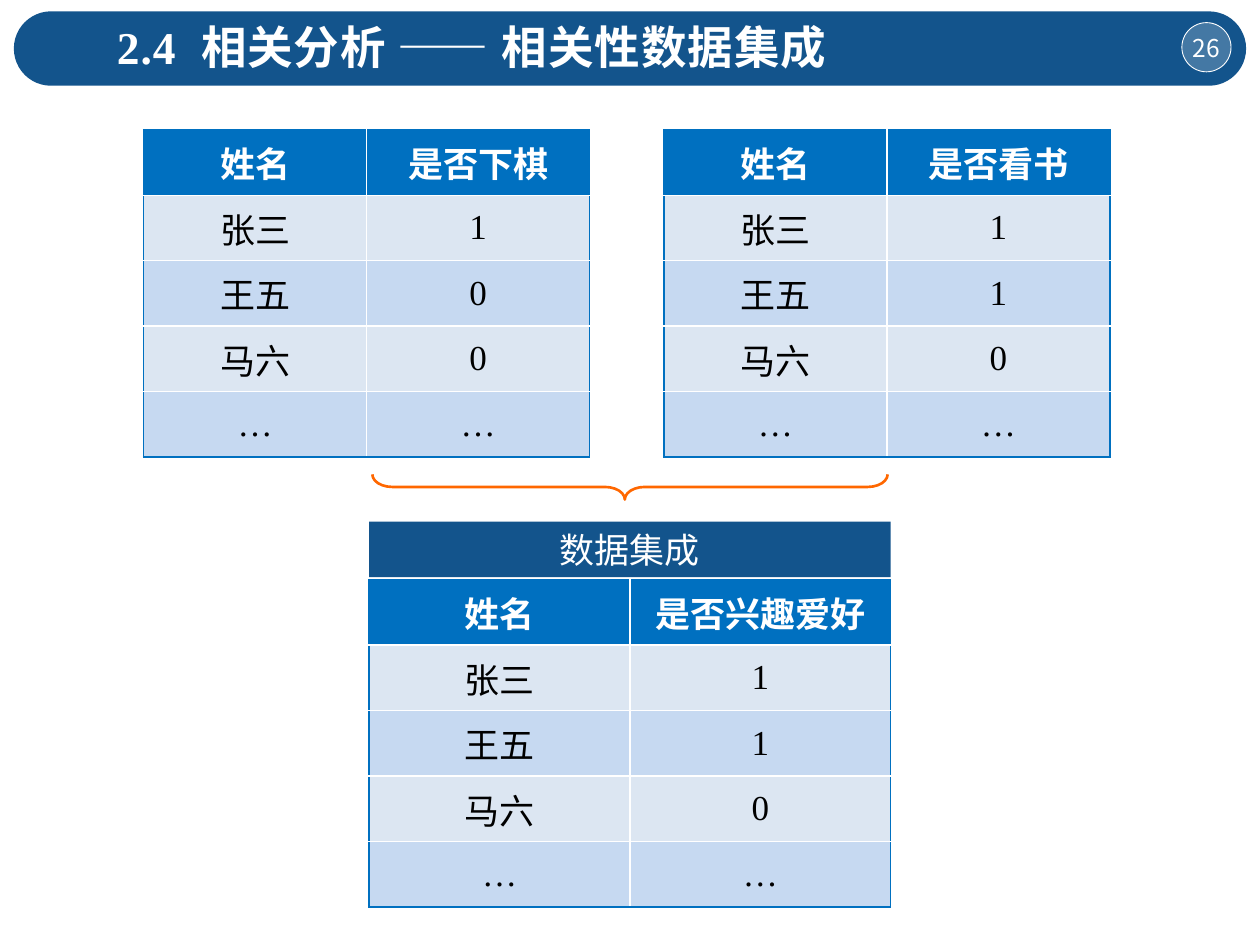
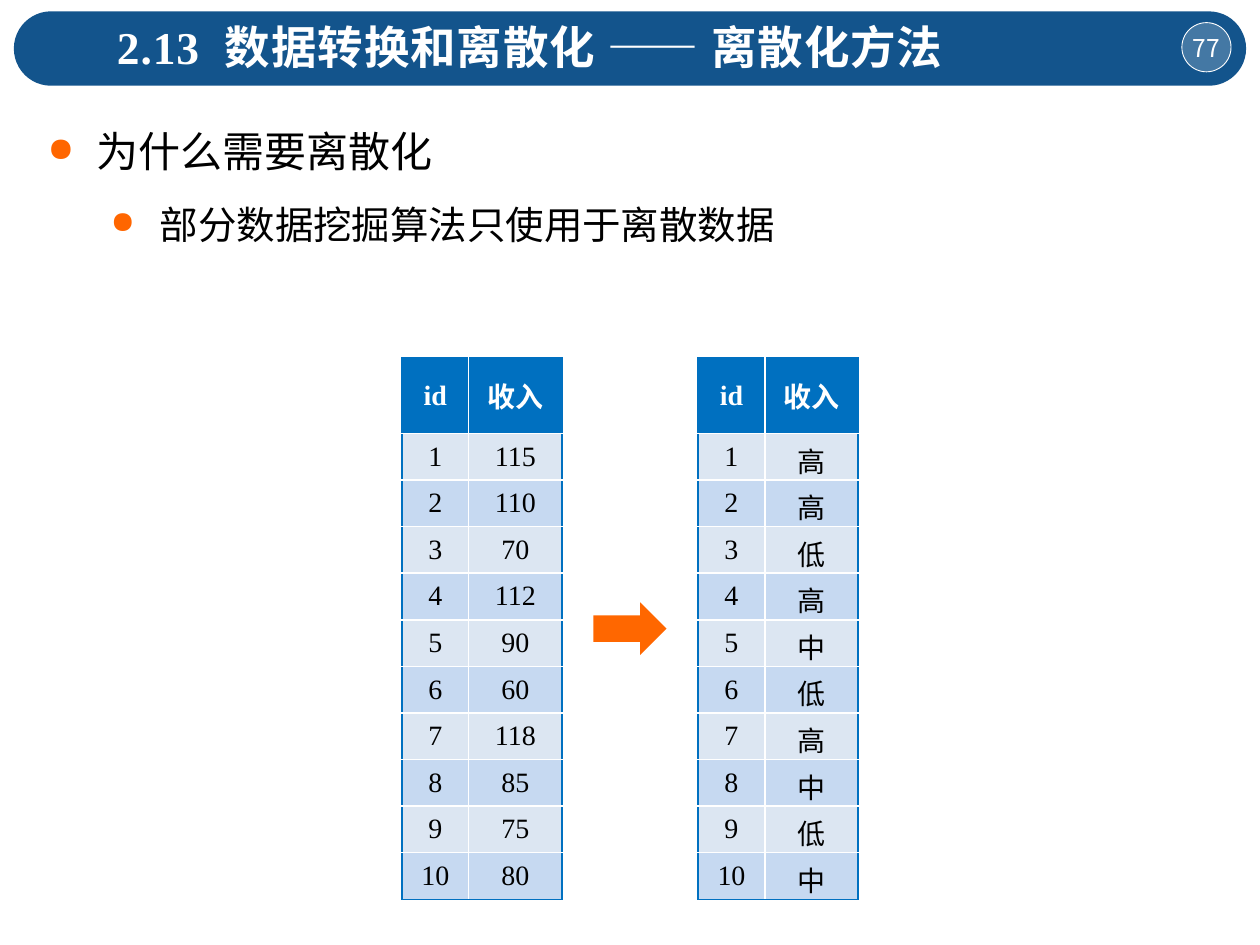
from lxml.etree import SubElement
from pptx import Presentation
from pptx.dml.color import RGBColor
from pptx.enum.shapes import MSO_SHAPE
from pptx.enum.text import MSO_ANCHOR, PP_ALIGN
from pptx.oxml import parse_xml
from pptx.oxml.ns import nsdecls, qn
from pptx.util import Inches, Pt

COLORS = {
    "band": "13548C",
    "header": "0070C0",
    "odd_row": "DCE6F2",
    "even_row": "C6D9F1",
    "accent": "FF6700",
    "bullet": "FF6600",
    "white": "FFFFFF",
    "black": "000000",
}
LATIN, CHINESE = "Times New Roman", "Noto Sans CJK SC"


def rgb(color):
    return RGBColor.from_string(COLORS[color])


class Deck:
    def __init__(self):
        self.prs = Presentation()
        self.prs.slide_width, self.prs.slide_height = Inches(10), Inches(7.5)
        self.slide = None

    def new_slide(self, number, section, heading):
        self.slide = self.prs.slides.add_slide(self.prs.slide_layouts[6])
        band = self.shape(MSO_SHAPE.ROUNDED_RECTANGLE, 0.11, 0.09, 9.78, 0.59, "band")
        band.adjustments[0] = 0.5

        badge = self.shape(MSO_SHAPE.OVAL, 9.38, 0.18, 0.39, 0.39, "white", line=("white", 0.5))
        fill_color = badge.fill._xPr.find(qn("a:solidFill"))[0]
        SubElement(fill_color, qn("a:alpha"), val="21000")
        self.label(badge, number, 14, font=CHINESE)

        title = self.text_box(0.83, 0.1, 8.08, 0.54)
        title.vertical_anchor = MSO_ANCHOR.MIDDLE
        title.margin_top = title.margin_bottom = 0
        paragraph = title.paragraphs[0]
        # The wider space sets the section number apart from the heading.
        for text, spacing in ((section, 50), (" ", 750), (heading, 50)):
            run = self.run(paragraph, text, 26, "white", bold=True)
            run.font._element.set("spc", str(spacing))

    def run(self, paragraph, text, size, color, bold=False, font=LATIN):
        run = paragraph.add_run()
        run.text = text
        run.font.size, run.font.bold, run.font.name = Pt(size), bold, font
        run.font.color.rgb = rgb(color)
        run.font._element.find(qn("a:latin")).addnext(
            parse_xml(f'<a:ea {nsdecls("a")} typeface="{CHINESE}"/>'))
        return run

    def shape(self, kind, left, top, width, height, fill=None, line=None):
        shape = self.slide.shapes.add_shape(
            kind, Inches(left), Inches(top), Inches(width), Inches(height))
        shape.shadow.inherit = False
        if fill:
            shape.fill.solid()
            shape.fill.fore_color.rgb = rgb(fill)
        else:
            shape.fill.background()
        if line:
            shape.line.color.rgb, shape.line.width = rgb(line[0]), Pt(line[1])
        else:
            shape.line.fill.background()
        return shape

    def label(self, shape, text, size, font=LATIN):
        frame = shape.text_frame
        frame.margin_left = frame.margin_right = frame.margin_top = frame.margin_bottom = 0
        frame.word_wrap = False
        frame.vertical_anchor = MSO_ANCHOR.MIDDLE
        frame.paragraphs[0].alignment = PP_ALIGN.CENTER
        self.run(frame.paragraphs[0], text, size, "white", font=font)

    def text_box(self, left, top, width, height):
        frame = self.slide.shapes.add_textbox(
            Inches(left), Inches(top), Inches(width), Inches(height)).text_frame
        frame.word_wrap = True
        return frame

    def bullets(self, left, top, width, height, items):
        """Write (text, size) items, each one level deeper than the last."""
        frame = self.text_box(left, top, width, height)
        for level, (text, size) in enumerate(items):
            paragraph = frame.add_paragraph() if level else frame.paragraphs[0]
            paragraph.level = level
            paragraph.alignment = PP_ALIGN.JUSTIFY
            paragraph.line_spacing = 1.3
            if level:
                paragraph.space_before = Pt(6)
            props = paragraph._p.get_or_add_pPr()
            props.set("marL", str(Inches(0.39 + 0.5 * level)))
            props.set("indent", str(-Inches(0.39)))
            bullet_color = SubElement(props, qn("a:buClr"))
            SubElement(bullet_color, qn("a:srgbClr"), val=COLORS["bullet"])
            SubElement(props, qn("a:buSzPct"), val="80000")
            SubElement(props, qn("a:buChar"), char="●")
            self.run(paragraph, text, size, "black")

    def cell_borders(self, cell, outer):
        """Draw blue lines on the sides named in outer and white ones elsewhere."""
        props = cell._tc.get_or_add_tcPr()
        for position, side in enumerate("LRTB"):
            color = COLORS["header" if side in outer else "white"]
            props.insert(position, parse_xml(
                f'<a:ln{side} {nsdecls("a")} w="12700"><a:solidFill>'
                f'<a:srgbClr val="{color}"/></a:solidFill></a:ln{side}>'))

    def table(self, left, top, col_widths, row_heights, rows, size, low_column=None):
        """Draw a banded table; low_column sits at the bottom of its body cells."""
        table = self.slide.shapes.add_table(
            len(rows), len(col_widths), Inches(left), Inches(top),
            Inches(sum(col_widths)), Inches(sum(row_heights))).table
        for column, width in zip(table.columns, col_widths):
            column.width = Inches(width)
        for row, height in zip(table.rows, row_heights):
            row.height = Inches(height)
        last_row, last_col = len(rows) - 1, len(col_widths) - 1
        for r, values in enumerate(rows):
            fill = "header" if r == 0 else "odd_row" if r % 2 else "even_row"
            for c, value in enumerate(values):
                cell = table.cell(r, c)
                cell.fill.solid()
                cell.fill.fore_color.rgb = rgb(fill)
                cell.vertical_anchor = MSO_ANCHOR.MIDDLE
                if r and c == low_column:
                    cell.vertical_anchor = MSO_ANCHOR.BOTTOM
                    cell.margin_top = cell.margin_bottom = 0
                edges = {"L": c == 0, "R": c == last_col, "T": r == 0, "B": r == last_row}
                self.cell_borders(cell, [side for side, is_outer in edges.items() if is_outer])
                paragraph = cell.text_frame.paragraphs[0]
                paragraph.alignment = PP_ALIGN.CENTER
                self.run(paragraph, value, size, "black" if r else "white", bold=r == 0)


def integration_slide(deck):
    deck.new_slide("26", "2.4", "相关分析 —— 相关性数据集成")
    names = ["张三", "王五", "马六", "…"]
    surveys = [
        (1.14, 1.03, 1.77, "是否下棋", "100…"),
        (5.27, 1.03, 1.77, "是否看书", "110…"),
        (2.93, 4.6, 2.07, "是否兴趣爱好", "110…"),
    ]
    for left, top, col_width, question, answers in surveys:
        rows = [("姓名", question), *zip(names, answers)]
        deck.table(left, top, [col_width] * 2, [0.52] * len(rows), rows, 20)

    brace = deck.shape(MSO_SHAPE.RIGHT_BRACE, 4.9, 1.82, 0.2, 4.09, line=("accent", 1.5))
    brace.rotation = 90
    brace.adjustments[0], brace.adjustments[1] = 0.79, 0.51
    caption = deck.shape(MSO_SHAPE.RECTANGLE, 2.93, 4.14, 4.14, 0.44, "band")
    deck.label(caption, "数据集成", 20)


def discretization_slide(deck):
    deck.new_slide("77", "2.13", "数据转换和离散化 —— 离散化方法")
    deck.bullets(0.28, 0.83, 9.25, 1.28, [
        ("为什么需要离散化", 24),
        ("部分数据挖掘算法只使用于离散数据", 22),
    ])
    incomes = ["115", "110", "70", "112", "90", "60", "118", "85", "75", "80"]
    levels = "高高低高中低高中低中"
    for left, values, low_column in ((3.19, incomes, None), (5.54, levels, 1)):
        rows = [("id", "收入")]
        rows += [(str(i), value) for i, value in enumerate(values, 1)]
        deck.table(left, 2.84, [0.53, 0.74], [0.6] + [0.37] * len(values), rows, 16, low_column)
    deck.shape(MSO_SHAPE.RIGHT_ARROW, 4.71, 4.78, 0.58, 0.42, "accent")


def main():
    deck = Deck()
    integration_slide(deck)
    discretization_slide(deck)
    deck.prs.save("out.pptx")


if __name__ == "__main__":
    main()
